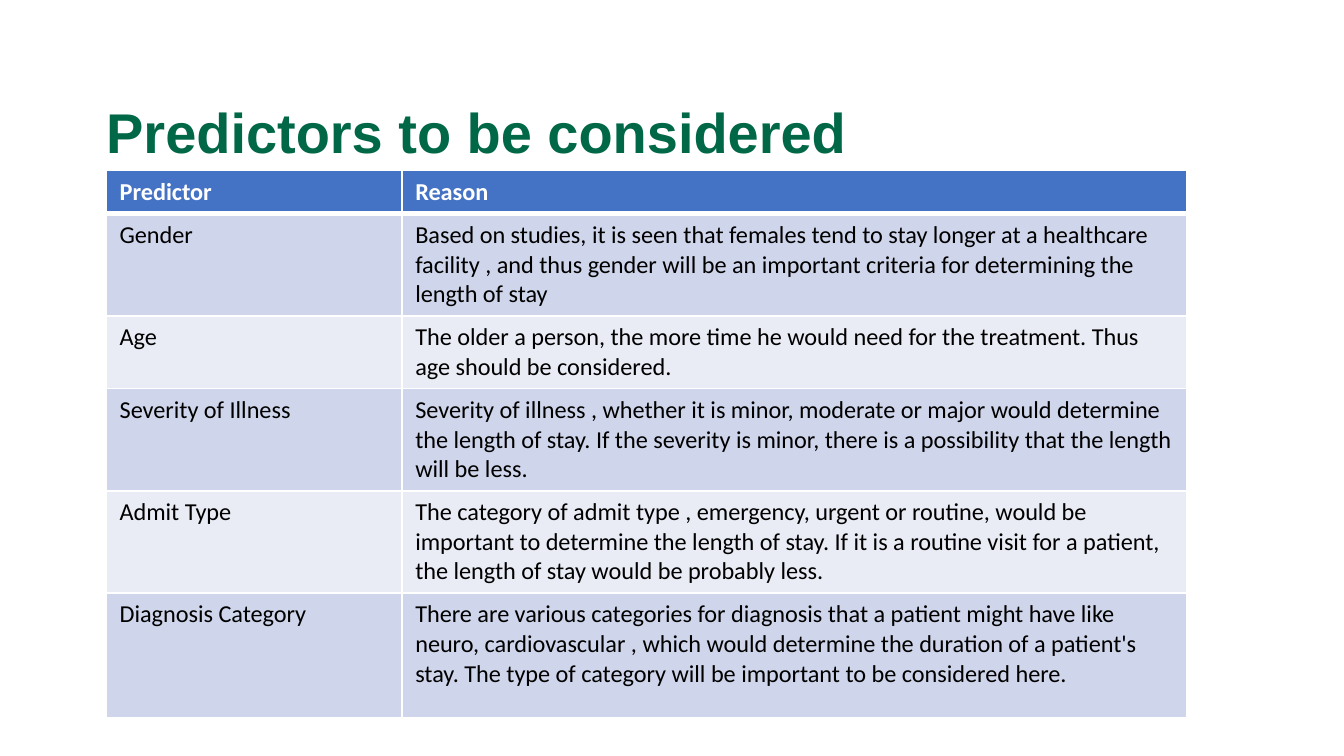
from lxml import etree
from pptx import Presentation
from pptx import util as u
from pptx.dml import color
from pptx.enum import text
from pptx.oxml import ns

PREDICTORS = [
    ("Predictor", "Reason"),
    ("Gender", "Based on studies, it is seen that females tend to stay longer at a "
     "healthcare facility , and thus gender will be an important criteria for "
     "determining the length of stay"),
    ("Age", "The older a person, the more time he would need for the treatment. "
     "Thus age should be considered."),
    ("Severity of Illness", "Severity of illness , whether it is minor, moderate or "
     "major would determine the length of stay. If the severity is minor, there is "
     "a possibility that the length will be less."),
    ("Admit Type", "The category of admit type , emergency, urgent or routine, would "
     "be important to determine the length of stay. If it is a routine visit for a "
     "patient, the length of stay would be probably less."),
    ("Diagnosis Category", "There are various categories for diagnosis that a patient "
     "might have like neuro, cardiovascular , which would determine the duration of a "
     "patient's stay. The type of category will be important to be considered here."),
]
COLUMN_WIDTHS = [2.2, 5.84]
ROW_HEIGHTS = [0.3, 0.72, 0.54, 0.72, 0.72, 0.93]


def rgb(hex_code):
    return color.RGBColor.from_string(hex_code)


class PredictorSlide:
    GREEN, BLUE, WHITE, BLACK = "006747", "4472C4", "FFFFFF", "000000"
    BANDS = ["E9EBF5", "CFD5EA"]

    def __init__(self, slide):
        self.slide = slide

    def style(self, frame, font, size, hex_code, bold):
        for paragraph in frame.paragraphs:
            for run in paragraph.runs:
                run.font.name = font
                run.font.size = u.Pt(size)
                run.font.bold = bold
                run.font.color.rgb = rgb(hex_code)

    def title(self, wording, left, top, width, height):
        heading = self.slide.shapes.title
        heading.left, heading.top = u.Inches(left), u.Inches(top)
        heading.width, heading.height = u.Inches(width), u.Inches(height)
        frame = heading.text_frame
        frame.text = wording
        frame.auto_size = text.MSO_AUTO_SIZE.NONE
        frame.vertical_anchor = text.MSO_ANCHOR.MIDDLE
        frame.paragraphs[0].alignment = text.PP_ALIGN.LEFT
        frame.paragraphs[0].line_spacing = 0.9
        self.style(frame, "Arial", 30, self.GREEN, True)

    def border(self, cell, side, points):
        line = etree.SubElement(cell._tc.get_or_add_tcPr(), ns.qn(f"a:ln{side}"),
                                w=str(u.Pt(points)))
        fill = etree.SubElement(line, ns.qn("a:solidFill"))
        etree.SubElement(fill, ns.qn("a:srgbClr"), val=self.WHITE)

    def cell(self, cell, wording, row):
        header = row == 0
        cell.text = wording
        cell.margin_left = cell.margin_right = u.Inches(0.1)
        cell.margin_top = cell.margin_bottom = u.Inches(0.05)
        # Thick rule between the header and the first row
        widths = {"L": 1, "R": 1, "T": 3 if row == 1 else 1, "B": 3 if header else 1}
        for side, points in widths.items():
            self.border(cell, side, points)
        cell.fill.solid()
        cell.fill.fore_color.rgb = rgb(self.BLUE if header else self.BANDS[row % 2])
        self.style(cell.text_frame, "Calibri", 13,
                   self.WHITE if header else self.BLACK, header)

    def table(self, entries, left, top, widths, heights):
        grid = self.slide.shapes.add_table(
            len(heights), len(widths), u.Inches(left), u.Inches(top),
            u.Inches(sum(widths)), u.Inches(sum(heights))).table
        for column, width in zip(grid.columns, widths):
            column.width = u.Inches(width)
        for row, height in zip(grid.rows, heights):
            row.height = u.Inches(height)
        for row, entry in enumerate(entries):
            for column, wording in enumerate(entry):
                self.cell(grid.cell(row, column), wording, row)


def main():
    deck = Presentation()
    # Widescreen, 16:9
    deck.slide_width, deck.slide_height = u.Inches(10), u.Inches(10 * 9 / 16)
    page = PredictorSlide(deck.slides.add_slide(deck.slide_layouts[5]))

    # Heading
    page.title("Predictors to be considered", 0.69, 0.63, 8.62, 0.76)

    # Predictors and why each one matters
    page.table(PREDICTORS, 0.79, 1.27, COLUMN_WIDTHS, ROW_HEIGHTS)

    deck.save("out.pptx")


if __name__ == "__main__":
    main()
